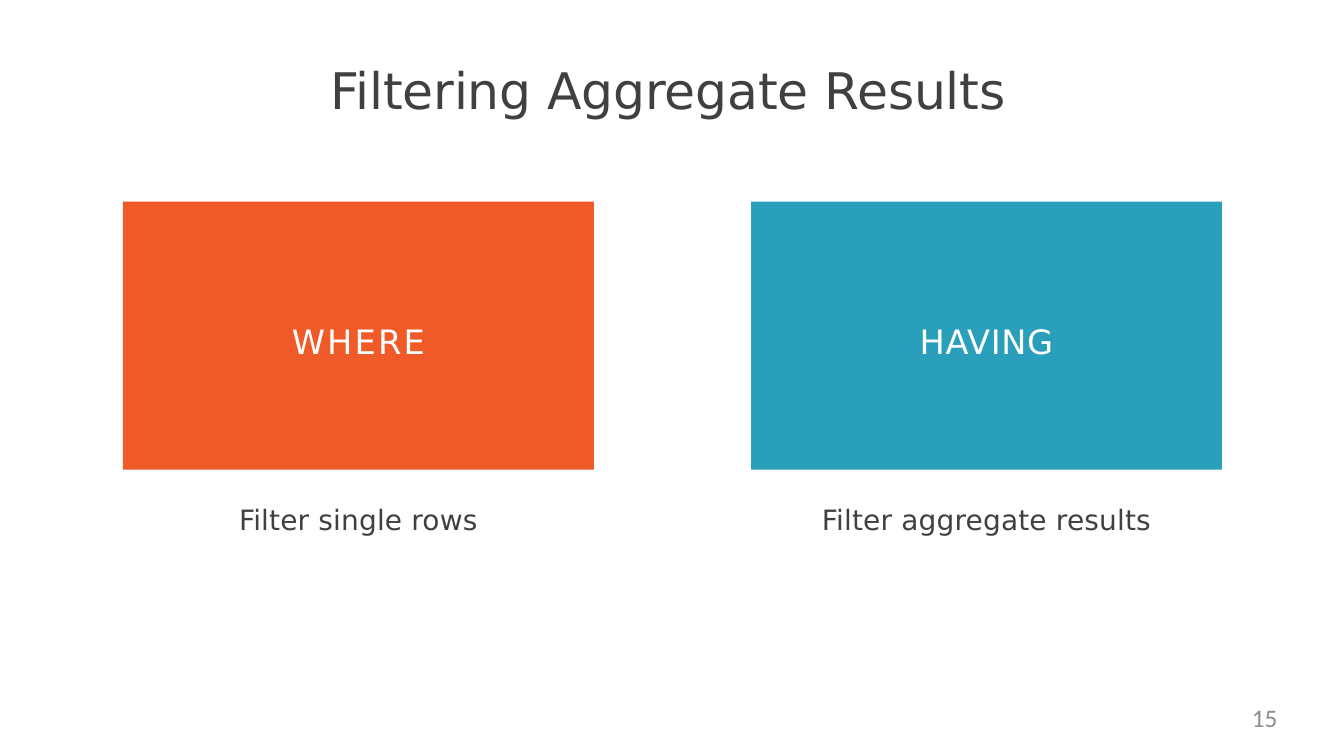
from dataclasses import dataclass

import pptx
import pptx.dml.color
import pptx.enum.shapes
import pptx.enum.text
import pptx.util

Inches = pptx.util.Inches
Align = pptx.enum.text.PP_ALIGN
Anchor = pptx.enum.text.MSO_ANCHOR


@dataclass(frozen=True)
class TextStyle:
    size: int
    color: str
    font: str = "DejaVu Sans"
    spacing: float = 0.0  # points between letters
    align: Align = Align.CENTER


@dataclass(frozen=True)
class Theme:
    orange: str = "EF5A28"
    teal: str = "2A9FBB"
    title: TextStyle = TextStyle(36, "404040", spacing=-0.1)
    caption: TextStyle = TextStyle(20, "404040", spacing=0.1)
    number: TextStyle = TextStyle(18, "8C8C8C", font="Calibri", align=Align.RIGHT)
    label_size: int = 24
    label_color: str = "FFFFFF"


@dataclass(frozen=True)
class Card:
    left: float
    color: str
    label: str
    label_spacing: float
    caption: str
    caption_width: float


THEME = Theme()
CARD_TOP, CARD_WIDTH, CARD_HEIGHT = 2.0, 4.67, 2.66
CAPTION_TOP, CAPTION_HEIGHT = 4.97, 0.36
CARDS = (
    Card(1.22, THEME.orange, "WHERE", 1.6, "Filter single rows", 2.41),
    Card(7.45, THEME.teal, "HAVING", 0.5, "Filter aggregate results", 3.29),
)


def rgb(color: str) -> pptx.dml.color.RGBColor:
    return pptx.dml.color.RGBColor.from_string(color)


def write(box, text: str, style: TextStyle, anchor=Anchor.TOP, inset_top: float = 0.02) -> None:
    """Fill a shape with one styled line of text."""
    frame = box.text_frame
    frame.word_wrap = True
    frame.auto_size = pptx.enum.text.MSO_AUTO_SIZE.NONE
    frame.vertical_anchor = anchor
    frame.margin_left = frame.margin_right = frame.margin_bottom = 0
    frame.margin_top = Inches(inset_top)
    para = frame.paragraphs[0]
    para.alignment = style.align
    para.font.name = style.font
    para.font.size = pptx.util.Pt(style.size)
    para.font.color.rgb = rgb(style.color)
    span = para.add_run()
    span.text = text
    if style.spacing:
        span._r.get_or_add_rPr().set("spc", str(round(style.spacing * 100)))


def add_text(page, left: float, top: float, width: float, height: float,
             text: str, style: TextStyle, inset_top: float = 0.02) -> None:
    box = page.shapes.add_textbox(Inches(left), Inches(top), Inches(width), Inches(height))
    write(box, text, style, inset_top=inset_top)


def add_card(page, card: Card) -> None:
    """Draw a coloured card with its caption centred below."""
    box = page.shapes.add_shape(
        pptx.enum.shapes.MSO_SHAPE.RECTANGLE,
        Inches(card.left), Inches(CARD_TOP), Inches(CARD_WIDTH), Inches(CARD_HEIGHT))
    box.shadow.inherit = False
    box.fill.solid()
    box.fill.fore_color.rgb = rgb(card.color)
    box.line.fill.background()
    label = TextStyle(THEME.label_size, THEME.label_color, spacing=card.label_spacing)
    write(box, card.label, label, Anchor.MIDDLE, inset_top=0.1)
    caption_left = card.left + (CARD_WIDTH - card.caption_width) / 2
    add_text(page, caption_left, CAPTION_TOP, card.caption_width, CAPTION_HEIGHT,
             card.caption, THEME.caption)


def add_title(page, text: str) -> None:
    title = page.shapes.title
    title.left, title.top = Inches(3.25), Inches(0.57)
    title.width, title.height = Inches(6.75), Inches(0.63)
    write(title, text, THEME.title)


def main() -> None:
    deck = pptx.Presentation()
    deck.slide_width, deck.slide_height = Inches(13.33), Inches(7.5)
    page = deck.slides.add_slide(deck.slide_layouts.get_by_name("Title Only"))
    add_title(page, "Filtering Aggregate Results")
    for card in CARDS:
        add_card(page, card)
    add_text(page, 9.6, 6.97, 3.07, 0.38, "15", THEME.number, inset_top=0)
    deck.save("out.pptx")


if __name__ == "__main__":
    main()
